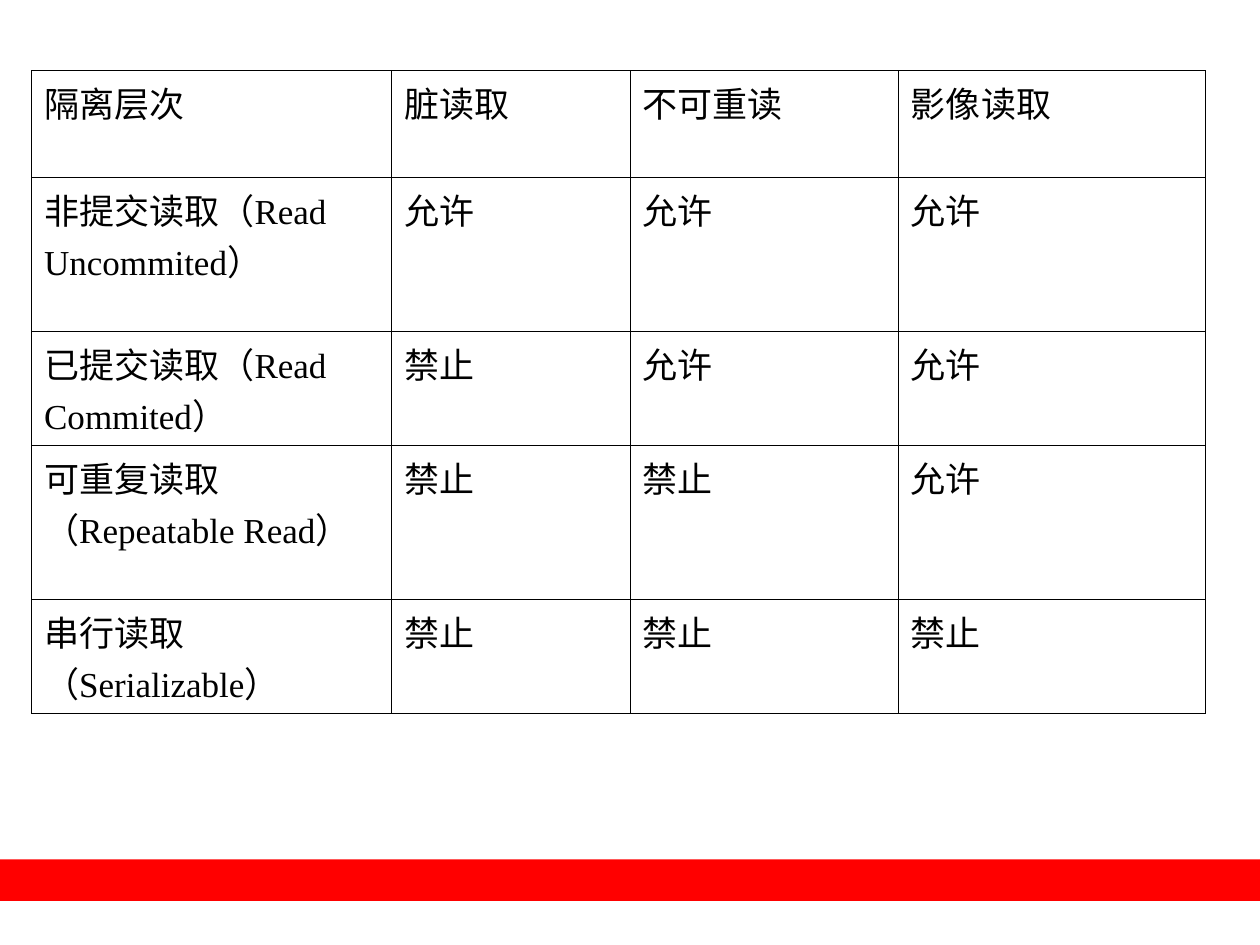
from lxml import etree
from pptx import Presentation
from pptx.dml.color import RGBColor
from pptx.enum.lang import MSO_LANGUAGE_ID
from pptx.enum.shapes import MSO_SHAPE
from pptx.oxml.ns import qn
from pptx.util import Inches, Pt

RECTANGLE = MSO_SHAPE.RECTANGLE
CHINESE = MSO_LANGUAGE_ID.SIMPLIFIED_CHINESE
COLORS = {"text": "000000", "border": "000000", "band": "FF0000"}
BORDER_WIDTH = Pt(0.45)

COLUMN_WIDTHS = [2.86, 1.89, 2.13, 2.44]
ROW_HEIGHTS = [0.85, 1.22, 0.85, 1.22, 0.85]
ROWS = [
    ["隔离层次", "脏读取", "不可重读", "影像读取"],
    ["非提交读取（Read Uncommited）", "允许", "允许", "允许"],
    ["已提交读取（Read Commited）", "禁止", "允许", "允许"],
    ["可重复读取（Repeatable Read）", "禁止", "禁止", "允许"],
    ["串行读取（Serializable）", "禁止", "禁止", "禁止"],
]


def write_text(text_frame, text, *, size=20, font="Times New Roman", color="text"):
    run = text_frame.paragraphs[0].add_run()
    run.text = text
    run.font.size = Pt(size)
    run.font.name = font
    run.font.bold = False
    run.font.color.rgb = RGBColor.from_string(COLORS[color])
    run.font.language_id = CHINESE


def add_borders(cell):
    properties = cell._tc.get_or_add_tcPr()
    for side in ("lnL", "lnR", "lnT", "lnB"):
        line = etree.SubElement(properties, qn(f"a:{side}"), w=str(BORDER_WIDTH))
        fill = etree.SubElement(line, qn("a:solidFill"))
        etree.SubElement(fill, qn("a:srgbClr"), val=COLORS["border"])


presentation = Presentation()
presentation.slide_width = Inches(10)
presentation.slide_height = Inches(7.5)
slide = presentation.slides.add_slide(presentation.slide_layouts[6])

band = slide.shapes.add_shape(RECTANGLE, 0, Inches(6.82), Inches(10), Inches(0.33))
band.shadow.inherit = False
band.fill.solid()
band.fill.fore_color.rgb = RGBColor.from_string(COLORS["band"])
band.line.fill.background()

table = slide.shapes.add_table(
    len(ROWS), len(COLUMN_WIDTHS), Inches(0.25), Inches(0.56),
    Inches(sum(COLUMN_WIDTHS)), Inches(sum(ROW_HEIGHTS)),
).table
table.first_row = False
table.horz_banding = False
for column, width in zip(table.columns, COLUMN_WIDTHS):
    column.width = Inches(width)
for row, height, texts in zip(table.rows, ROW_HEIGHTS, ROWS):
    row.height = Inches(height)
    for cell, text in zip(row.cells, texts):
        add_borders(cell)
        cell.fill.background()
        write_text(cell.text_frame, text)

presentation.save("out.pptx")
